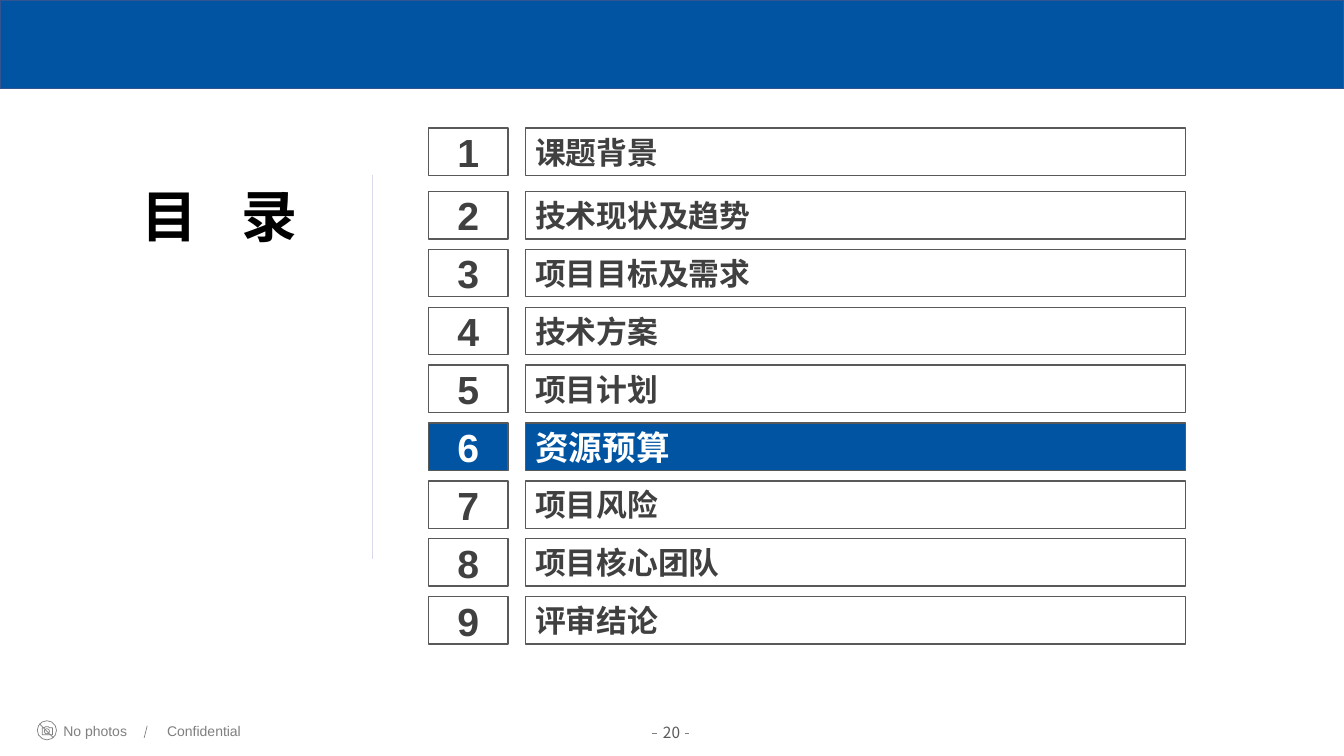
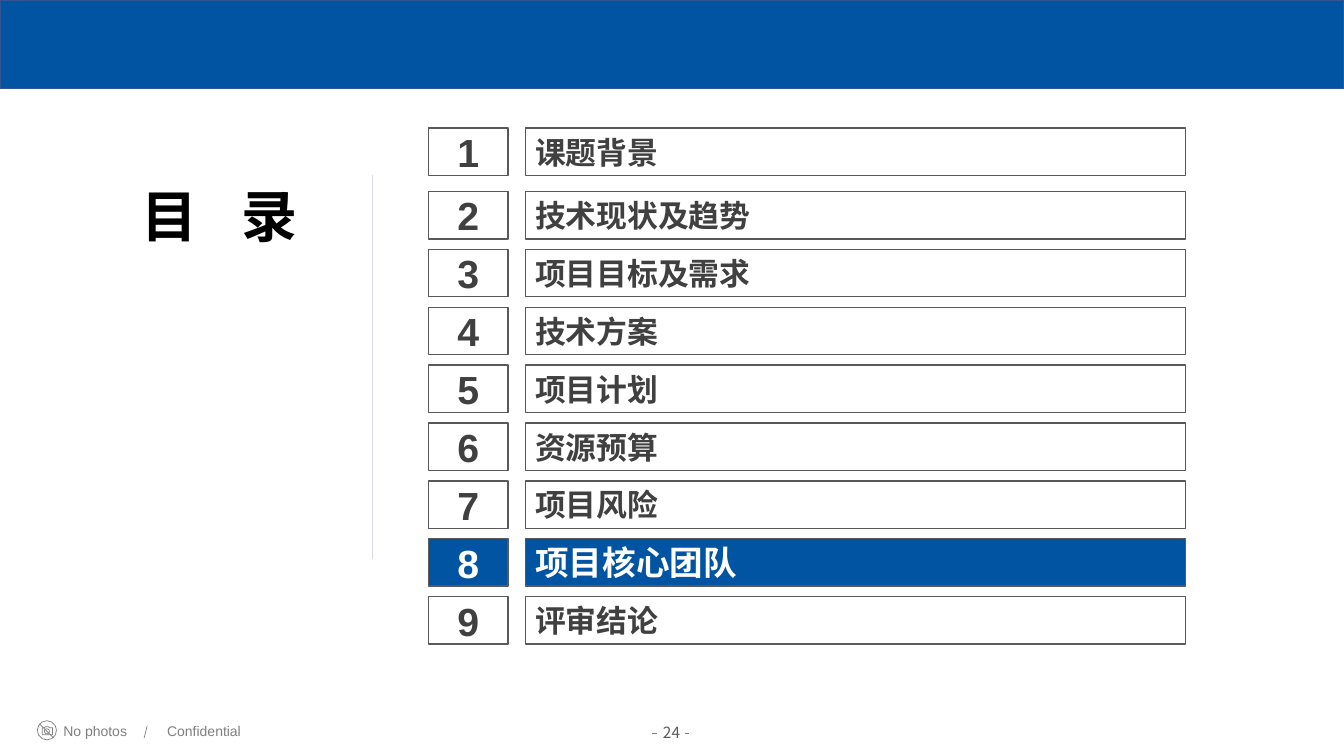
from pptx import Presentation
from pptx.dml.color import RGBColor
from pptx.enum.shapes import MSO_CONNECTOR, MSO_SHAPE
from pptx.enum.text import MSO_ANCHOR, PP_ALIGN
from pptx.oxml.ns import qn
from pptx.util import Inches, Pt
from lxml import etree

RECT, OVAL = MSO_SHAPE.RECTANGLE, MSO_SHAPE.OVAL
STRAIGHT = MSO_CONNECTOR.STRAIGHT
LEFT, CENTER = PP_ALIGN.LEFT, PP_ALIGN.CENTER
TOP, MIDDLE = MSO_ANCHOR.TOP, MSO_ANCHOR.MIDDLE

COLORS = {
    "brand": "0054A2", "band_edge": "325491", "box_edge": "595959",
    "text": "404040", "title": "000000", "white": "FFFFFF",
    "footer": "7F7F7F", "page": "5A5A5A", "divider": "DADAEC",
}
LATIN, CJK = "Arial", "Noto Sans CJK SC"

TITLE = ("目 ", "录")
CHAPTERS = [
    "课题背景", "技术现状及趋势", "项目目标及需求", "技术方案", "项目计划",
    "资源预算", "项目风险", "项目核心团队", "评审结论",
]
AGENDAS = [{"page": "20", "current": 6}, {"page": "24", "current": 8}]

FOOTER_LABELS = [("No photos", 0.53, 0.88), ("Confidential", 1.56, 0.94)]
FOOTER_LINES = [
    (0.39, 7.18, 0.53, 7.32),  # strike through the camera
    (1.46, 7.2, 1.43, 7.32),   # slash between the labels
    (6.47, 7.28, 6.52, 7.28),  # dashes around the page number
    (6.79, 7.28, 6.83, 7.28),
]
CAMERA_BODY = [
    (0.42, 7.22), (0.44, 7.22), (0.45, 7.21), (0.48, 7.21),
    (0.49, 7.22), (0.52, 7.22), (0.52, 7.29), (0.42, 7.29),
]
CAMERA_RINGS = [(0.37, 7.15, 0.19, 0.19), (0.44, 7.23, 0.05, 0.05)]

FIRST_TOP, SECOND_TOP, LAST_TOP = 1.27, 1.9, 5.92
ROW_HEIGHT = 0.47
NUMBER_LEFT, NUMBER_WIDTH = 4.25, 0.79
NAME_LEFT, NAME_WIDTH = 5.21, 6.55


def rgb(color):
    return RGBColor.from_string(COLORS[color])


def style_shape(shape, fill, edge, width):
    shape.shadow.inherit = False
    if fill:
        shape.fill.solid()
        shape.fill.fore_color.rgb = rgb(fill)
    else:
        shape.fill.background()
    shape.line.color.rgb = rgb(edge)
    shape.line.width = Pt(width)


def add_block(slide, kind, box, fill, edge, width):
    block = slide.shapes.add_shape(kind, *map(Inches, box))
    style_shape(block, fill, edge, width)
    return block


def add_line(slide, ends, color):
    line = slide.shapes.add_connector(STRAIGHT, *map(Inches, ends))
    line.line.color.rgb = rgb(color)
    line.line.width = Pt(0.5)
    etree.SubElement(line._element.spPr, qn("a:effectLst"))


def write(shape, parts, size, color, align=LEFT, anchor=TOP, bold=False,
          latin=LATIN, wrap=True):
    """Fill the shape with one paragraph, a run for each part."""
    frame = shape.text_frame
    frame.word_wrap = wrap
    frame.vertical_anchor = anchor
    paragraph = frame.paragraphs[0]
    paragraph.alignment = align
    for part in parts:
        run = paragraph.add_run()
        run.text = part
        for key, value in {"size": Pt(size), "bold": bold, "name": latin}.items():
            setattr(run.font, key, value)
        run.font.color.rgb = rgb(color)
        east_asian = etree.SubElement(run._r.get_or_add_rPr(), qn("a:ea"))
        east_asian.set("typeface", CJK)
    return paragraph


def add_footer(slide, page):
    for ring in CAMERA_RINGS:
        add_block(slide, OVAL, ring, None, "footer", 0.5)
    start, *corners = [(Inches(x), Inches(y)) for x, y in CAMERA_BODY]
    builder = slide.shapes.build_freeform(*start)
    builder.add_line_segments(corners, close=True)
    style_shape(builder.convert_to_shape(), None, "footer", 0.5)
    for ends in FOOTER_LINES:
        add_line(slide, ends, "footer")
    for label, left, width in FOOTER_LABELS:
        box = slide.shapes.add_textbox(
            Inches(left), Inches(7.12), Inches(width), Inches(0.27))
        write(box, [label], 10, "footer", wrap=False)
    number = slide.shapes.add_textbox(
        Inches(6.32), Inches(7.12), Inches(0.68), Inches(0.29))
    write(number, [page], 11, "page", CENTER, latin=CJK)


def add_title(slide):
    title = slide.shapes.title
    title.left, title.top = Inches(0.75), Inches(1.75)
    title.width, title.height = Inches(2.85), Inches(0.77)
    paragraph = write(title, TITLE, 40, "title", CENTER, bold=True)
    # Letter spacing on the first part widens the gap between the characters.
    paragraph.runs[0]._r.get_or_add_rPr().set("spc", "1100")


def add_chapter(slide, index, name, is_current):
    pitch = (LAST_TOP - SECOND_TOP) / (len(CHAPTERS) - 2)
    top = SECOND_TOP + (index - 1) * pitch if index else FIRST_TOP
    fill, color = ("brand", "white") if is_current else (None, "text")
    cells = [
        (NUMBER_LEFT, NUMBER_WIDTH, str(index + 1), 28, CENTER),
        (NAME_LEFT, NAME_WIDTH, name, 24 if is_current else 22, LEFT),
    ]
    for left, width, text, size, align in cells:
        cell = add_block(slide, RECT, (left, top, width, ROW_HEIGHT),
                         fill, "box_edge", 1)
        write(cell, [text], size, color, align, MIDDLE, bold=True)


def main():
    deck = Presentation()
    deck.slide_width, deck.slide_height = Inches(13.33), Inches(7.5)
    title_only = deck.slide_layouts[5]
    for agenda in AGENDAS:
        slide = deck.slides.add_slide(title_only)
        add_block(slide, RECT, (0, 0, 13.33, 0.88), "brand", "band_edge", 1)
        add_footer(slide, agenda["page"])
        add_title(slide)
        add_line(slide, (3.69, 1.74, 3.69, 5.55), "divider")
        for index, name in enumerate(CHAPTERS):
            add_chapter(slide, index, name, index + 1 == agenda["current"])
    deck.save("out.pptx")


if __name__ == "__main__":
    main()
